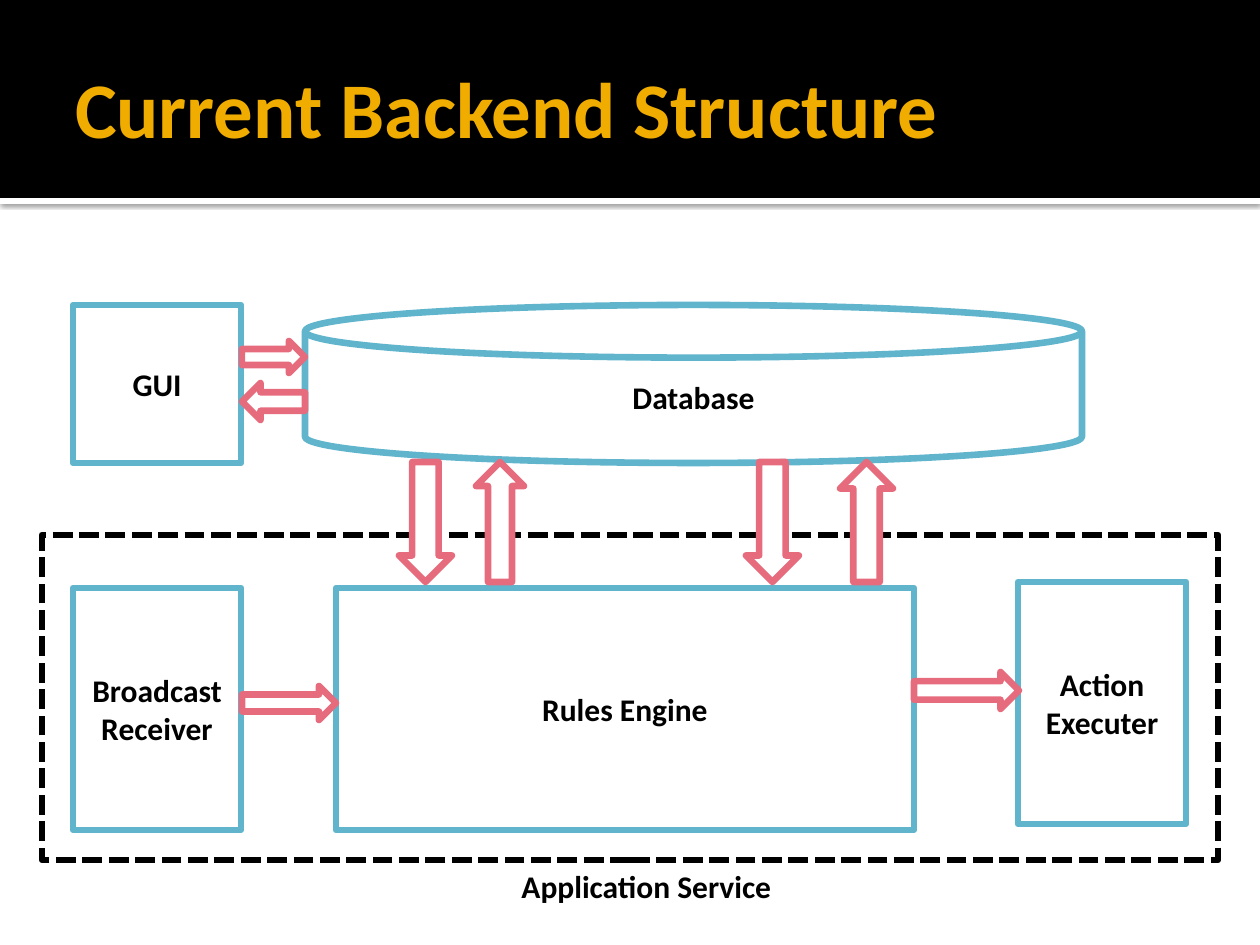
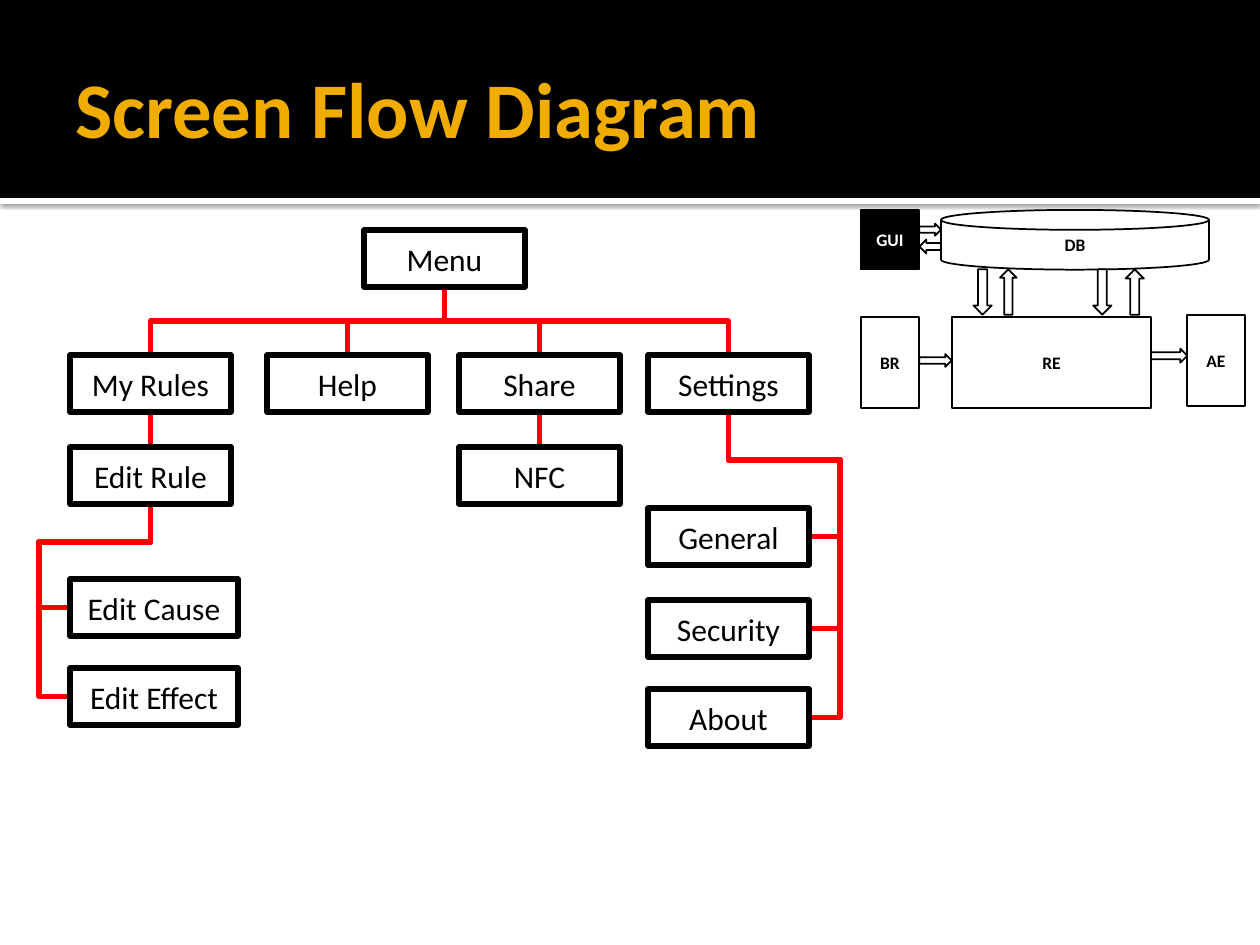
import pptx
import pptx.util
import pptx.dml.color
import pptx.enum.dml
import pptx.enum.shapes
import pptx.enum.text
import pptx.oxml
import pptx.oxml.ns

SHAPES = pptx.enum.shapes.MSO_SHAPE
CONNECTORS = pptx.enum.shapes.MSO_CONNECTOR
ANCHOR = pptx.enum.text.MSO_ANCHOR
ALIGN = pptx.enum.text.PP_ALIGN

EMU_PER_PIXEL = 914400 / 126
WIDTH, HEIGHT = 1260, 945
FONT = "Calibri"
BLACK, WHITE, GOLD = "000000", "FFFFFF", "F0AD00"
BLUE, PINK, RED = "60B5CC", "E66C7D", "FF0000"

BACKEND_PARTS = [
    ("GUI", "GUI", SHAPES.RECTANGLE, (73, 305, 168, 158)),
    ("Broadcast Receiver", "BR", SHAPES.RECTANGLE, (73, 588, 168, 242)),
    ("Rules Engine", "RE", SHAPES.RECTANGLE, (336, 588, 578, 242)),
    ("Action Executer", "AE", SHAPES.RECTANGLE, (1018, 582, 168, 242)),
    ("Database", "DB", SHAPES.FLOWCHART_MAGNETIC_DISK, (305, 305, 777, 158)),
]
BACKEND_ARROWS = [
    (SHAPES.RIGHT_ARROW, 0, (242, 341, 63, 32)),
    (SHAPES.RIGHT_ARROW, 180, (242, 383, 63, 37)),
    (SHAPES.RIGHT_ARROW, 0, (914, 672, 105, 37)),
    (SHAPES.RIGHT_ARROW, 0, (242, 686, 94, 34)),
    (SHAPES.DOWN_ARROW, 0, (399, 462, 53, 120)),
    (SHAPES.DOWN_ARROW, 180, (476, 462, 48, 120)),
    (SHAPES.DOWN_ARROW, 0, (746, 462, 53, 120)),
    (SHAPES.DOWN_ARROW, 180, (840, 462, 53, 120)),
]
SERVICE_FRAME = (42, 535, 1176, 325)
SERVICE_CAPTION = ("Application Service", (494, 861, 305, 50))
OVERVIEW_ORIGIN = (861, 210)
OVERVIEW_SCALE = (0.345, 0.378)

BOX_WIDTH, WIDE_BOX_WIDTH, BOX_HEIGHT = 161, 168, 57
SCREENS = {
    "Menu": (364, 230, BOX_WIDTH),
    "My Rules": (70, 355, BOX_WIDTH),
    "Help": (267, 355, BOX_WIDTH),
    "Share": (459, 355, BOX_WIDTH),
    "Settings": (648, 355, BOX_WIDTH),
    "Edit Rule": (70, 447, BOX_WIDTH),
    "NFC": (459, 447, BOX_WIDTH),
    "Edit Cause": (70, 579, WIDE_BOX_WIDTH),
    "Edit Effect": (70, 668, WIDE_BOX_WIDTH),
    "General": (648, 508, BOX_WIDTH),
    "Security": (648, 600, BOX_WIDTH),
    "About": (648, 689, BOX_WIDTH),
}
BRANCHES = {
    "Menu": ["My Rules", "Settings", "Share", "Help"],
    "My Rules": ["Edit Rule"],
    "Share": ["NFC"],
}
RAILS = [
    ("Edit Rule", 39, 542, ["Edit Cause", "Edit Effect"]),
    ("Settings", 840, 460, ["General", "Security", "About"]),
]


def px(length):
    return round(length * EMU_PER_PIXEL)


def color(value):
    return pptx.dml.color.RGBColor.from_string(value)


def write(shape, text, size, ink, bold=True, align=ALIGN.CENTER, anchor=ANCHOR.MIDDLE):
    frame = shape.text_frame
    frame.word_wrap = True
    frame.vertical_anchor = anchor
    frame.margin_left = frame.margin_right = 0
    frame.text = text
    paragraph = frame.paragraphs[0]
    paragraph.alignment = align
    font = paragraph.runs[0].font
    font.name, font.size, font.bold = FONT, pptx.util.Pt(size), bold
    font.color.rgb = color(ink)


def add_shape(slide, kind, box, fill=None, line=None, weight=1):
    shape = slide.shapes.add_shape(kind, *map(px, box))
    shape.shadow.inherit = False
    if fill:
        shape.fill.solid()
        shape.fill.fore_color.rgb = color(fill)
    else:
        shape.fill.background()
    if line:
        shape.line.color.rgb = color(line)
        shape.line.width = pptx.util.Pt(weight)
    else:
        shape.line.fill.background()
    return shape


def add_text(slide, box, *args, **options):
    write(slide.shapes.add_textbox(*map(px, box)), *args, **options)


def add_slide(presentation, title):
    slide = presentation.slides.add_slide(presentation.slide_layouts[6])
    strip = add_shape(slide, SHAPES.RECTANGLE, (0, 198, WIDTH, 6), WHITE)
    effects = strip._element.spPr.find(pptx.oxml.ns.qn("a:effectLst"))
    effects.append(pptx.oxml.parse_xml(
        f'<a:outerShdw {pptx.oxml.ns.nsdecls("a")} blurRad="31750" dist="10160" dir="5400000">'
        f'<a:srgbClr val="{BLACK}"><a:alpha val="60000"/></a:srgbClr></a:outerShdw>'))
    add_shape(slide, SHAPES.RECTANGLE, (0, 0, WIDTH, 198), BLACK)
    add_text(slide, (75, 21, 1115, 173), title, 45, GOLD, align=ALIGN.LEFT)
    return slide


def draw_backend(slide, place, labels, size, weight, part_line, arrow_line, active=None):
    for *names, kind, box in BACKEND_PARTS:
        name = names[labels]
        fill, ink = (BLACK, WHITE) if name == active else (WHITE, BLACK)
        write(add_shape(slide, kind, place(box), fill, part_line, weight), name, size, ink)
    for kind, rotation, box in BACKEND_ARROWS:
        add_shape(slide, kind, place(box), WHITE, arrow_line, weight).rotation = rotation


def place_in_overview(box):
    (left, top, width, height), (x, y) = box, OVERVIEW_SCALE
    first_left, first_top = BACKEND_PARTS[0][3][:2]
    return (OVERVIEW_ORIGIN[0] + (left - first_left) * x,
            OVERVIEW_ORIGIN[1] + (top - first_top) * y, width * x, height * y)


def bottom_center(name):
    left, top, width = SCREENS[name]
    return left + width / 2, top + BOX_HEIGHT


def top_center(name):
    left, top, width = SCREENS[name]
    return left + width / 2, top


def side_center(name, rail):
    left, top, width = SCREENS[name]
    return left if rail < left else left + width, top + BOX_HEIGHT / 2


def add_link(slide, start, end, rail=None, turn=None):
    (x1, y1), (x2, y2) = start, end
    if x1 == x2:
        link = slide.shapes.add_connector(CONNECTORS.STRAIGHT, *map(px, (x1, y1, x2, y2)))
    else:
        length, spread = y2 - y1, abs(x2 - x1)
        left, top = (x1 + x2 - length) / 2, (y1 + y2 - spread) / 2
        link = slide.shapes.add_connector(
            CONNECTORS.ELBOW, *map(px, (left, top, left + length, top + spread)))
        properties = link._element.spPr
        frame = properties.find(pptx.oxml.ns.qn("a:xfrm"))
        frame.set("rot", str((90 if x2 < x1 else 270) * 60000))
        if x2 > x1:
            frame.set("flipH", "1")
        if rail is not None:
            geometry = properties.find(pptx.oxml.ns.qn("a:prstGeom"))
            geometry.set("prst", "bentConnector4")
            guides = geometry.find(pptx.oxml.ns.qn("a:avLst"))
            ratios = (turn - y1) / length, (rail - x1) / (x2 - x1)
            for number, ratio in enumerate(ratios, 1):
                guides.append(pptx.oxml.parse_xml(
                    f'<a:gd {pptx.oxml.ns.nsdecls("a")} name="adj{number}" '
                    f'fmla="val {round(ratio * 100000)}"/>'))
    link.line.color.rgb = color(RED)
    link.line.width = pptx.util.Pt(3)
    link._element.spPr.append(
        pptx.oxml.parse_xml(f'<a:effectLst {pptx.oxml.ns.nsdecls("a")}/>'))


def draw_screen_flow(slide):
    for parent, children in BRANCHES.items():
        for child in children:
            add_link(slide, bottom_center(parent), top_center(child))
    for parent, rail, turn, children in RAILS:
        for child in children:
            add_link(slide, bottom_center(parent), side_center(child, rail), rail, turn)
    for name, (left, top, width) in SCREENS.items():
        box = (left, top, width, BOX_HEIGHT)
        write(add_shape(slide, SHAPES.RECTANGLE, box, WHITE, BLACK, 3), name, 18, BLACK, bold=False)


presentation = pptx.Presentation()
presentation.slide_width, presentation.slide_height = px(WIDTH), px(HEIGHT)

backend = add_slide(presentation, "Current Backend Structure")
service = add_shape(backend, SHAPES.RECTANGLE, SERVICE_FRAME, None, BLACK, 3.78)
service.line.dash_style = pptx.enum.dml.MSO_LINE.SQUARE_DOT
caption, caption_box = SERVICE_CAPTION
add_text(backend, caption_box, caption, 18, BLACK, anchor=ANCHOR.TOP)
draw_backend(backend, tuple, 0, 18, 3.78, BLUE, PINK)

flow = add_slide(presentation, "Screen Flow Diagram")
draw_backend(flow, place_in_overview, 1, 10, 1, BLACK, BLACK, active="GUI")
draw_screen_flow(flow)

presentation.save("out.pptx")
